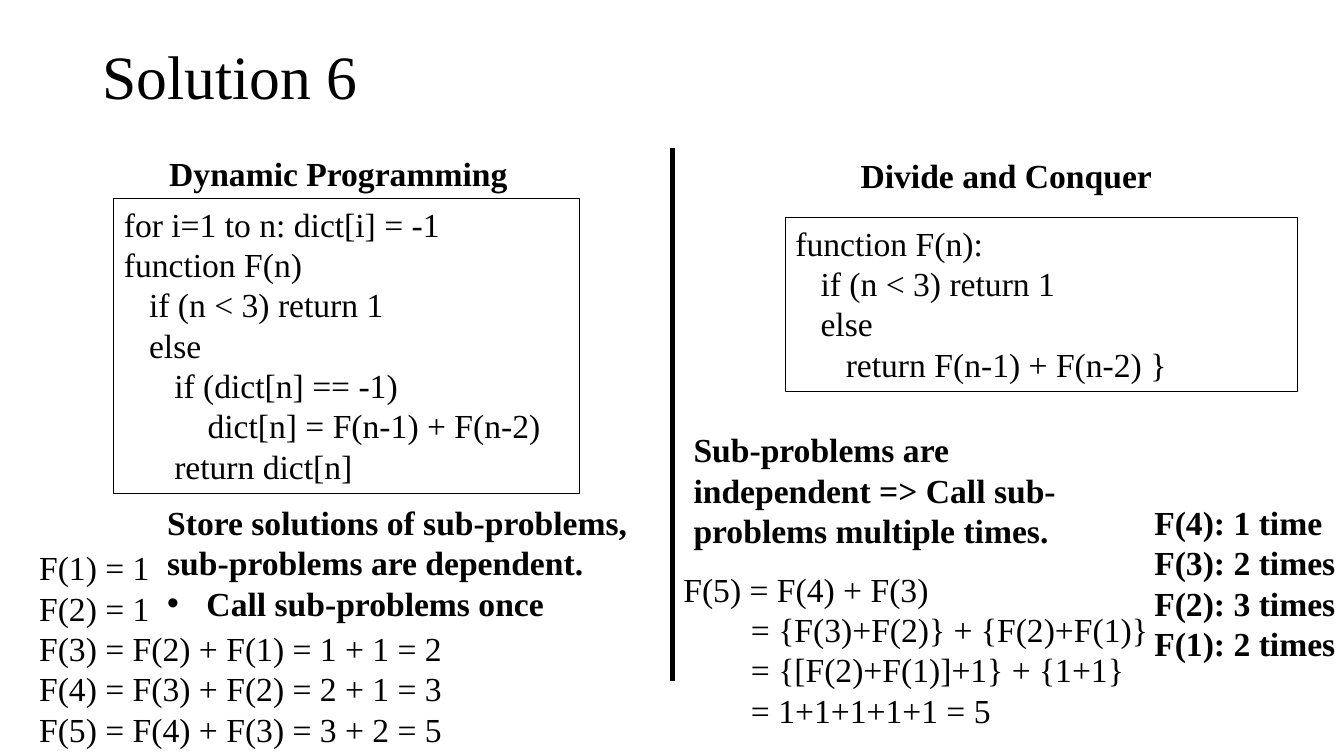
from dataclasses import dataclass

from lxml.etree import SubElement
from pptx import Presentation
from pptx.dml.color import RGBColor
from pptx.enum.shapes import MSO_CONNECTOR, MSO_SHAPE
from pptx.enum.text import MSO_ANCHOR, PP_ALIGN
from pptx.oxml.ns import qn
from pptx.util import Inches, Pt


@dataclass(frozen=True)
class Theme:
    font: str = "Times New Roman"
    ink: RGBColor = RGBColor(0, 0, 0)
    paper: RGBColor = RGBColor(255, 255, 255)
    title: int = 44
    body: int = 24
    frame: float = 0.75
    divider: float = 3


THEME = Theme()


@dataclass(frozen=True)
class Line:
    text: str
    indent: float = 0
    bullet: bool = False


@dataclass(frozen=True)
class Block:
    box: tuple[float, float, float, float]
    lines: list[Line]
    size: int = THEME.body
    bold: bool = False
    framed: bool = False
    wrap: bool = True
    align: PP_ALIGN = PP_ALIGN.LEFT
    anchor: MSO_ANCHOR = MSO_ANCHOR.TOP


def heading(text: str, *box: float) -> Block:
    return Block(box, [Line(text)], bold=True, wrap=False, align=PP_ALIGN.CENTER)


BLOCKS = [
    Block((0.92, 0.02, 11.5, 1.45), [Line("Solution 6")],
          size=THEME.title, anchor=MSO_ANCHOR.MIDDLE),
    # Column headings
    heading("Dynamic Programming", 1.56, 1.47, 3.59, 0.5),
    heading("Divide and Conquer", 8.42, 1.49, 3.12, 0.5),
    # Code
    Block((7.79, 2.16, 5.08, 1.72), [
        Line("function F(n):"),
        Line("if (n < 3) return 1", 0.25),
        Line("else", 0.25),
        Line("return F(n-1) + F(n-2) }", 0.5),
    ], framed=True),
    Block((1.13, 1.97, 4.62, 2.93), [
        Line("for i=1 to n: dict[i] = -1"),
        Line("function F(n)"),
        Line("if (n < 3) return 1", 0.25),
        Line("else", 0.25),
        Line("if (dict[n] == -1)", 0.5),
        Line("dict[n] = F(n-1) + F(n-2)", 0.83),
        Line("return dict[n]", 0.5),
    ], framed=True),
    # Worked examples
    Block((6.68, 5.59, 6.67, 1.72), [
        Line("F(5) = F(4) + F(3)"),
        Line("= {F(3)+F(2)} + {F(2)+F(1)}", 0.67),
        Line("= {[F(2)+F(1)]+1} + {1+1}", 0.67),
        Line("= 1+1+1+1+1 = 5", 0.67),
    ]),
    Block((0.29, 5.38, 6.67, 2.12), [
        Line("F(1) = 1"),
        Line("F(2) = 1"),
        Line("F(3) = F(2) + F(1) = 1 + 1 = 2"),
        Line("F(4) = F(3) + F(2) = 2 + 1 = 3"),
        Line("F(5) = F(4) + F(3) = 3 + 2 = 5"),
    ]),
    # Conclusions
    Block((1.56, 4.93, 5.17, 1.31), [
        Line("Store solutions of sub-problems, sub-problems are dependent."),
        Line("Call sub-problems once", 0.39, bullet=True),
    ], bold=True),
    Block((6.78, 4.21, 4.11, 1.31), [
        Line("Sub-problems are independent => Call sub-problems multiple times."),
    ], bold=True),
    Block((11.35, 4.93, 2.23, 1.72), [
        Line("F(4): 1 time"),
        Line("F(3): 2 times"),
        Line("F(2): 3 times"),
        Line("F(1): 2 times"),
    ], bold=True),
]


def add_block(s, block: Block) -> None:
    box = [Inches(v) for v in block.box]
    if block.framed:
        sp = s.shapes.add_shape(MSO_SHAPE.RECTANGLE, *box)
        sp.shadow.inherit = False
        sp.fill.background()
        sp.line.color.rgb = THEME.ink
        sp.line.width = Pt(THEME.frame)
    else:
        sp = s.shapes.add_textbox(*box)
    tf = sp.text_frame
    tf.word_wrap = block.wrap
    tf.vertical_anchor = block.anchor
    for i, line in enumerate(block.lines):
        p = tf.paragraphs[0] if i == 0 else tf.add_paragraph()
        p.alignment = block.align
        if line.indent:
            pPr = p._p.get_or_add_pPr()
            pPr.set("marL", str(Inches(line.indent)))
            if line.bullet:
                pPr.set("indent", str(-Inches(line.indent)))
                SubElement(pPr, qn("a:buFont"), typeface="Arial")
                SubElement(pPr, qn("a:buChar"), char="•")
        r = p.add_run()
        r.text = line.text
        r.font.name = THEME.font
        r.font.size = Pt(block.size)
        r.font.bold = block.bold
        r.font.color.rgb = THEME.ink


def add_divider(s, x: float, top: float, bottom: float) -> None:
    cn = s.shapes.add_connector(MSO_CONNECTOR.STRAIGHT, Inches(x), Inches(top),
                                Inches(x), Inches(bottom))
    cn.line.color.rgb = THEME.ink
    cn.line.width = Pt(THEME.divider)
    SubElement(cn._element.spPr, qn("a:effectLst"))


def main() -> None:
    prs = Presentation()
    prs.slide_width, prs.slide_height = Inches(13.33), Inches(7.5)
    s = prs.slides.add_slide(prs.slide_layouts[6])
    s.background.fill.solid()
    s.background.fill.fore_color.rgb = THEME.paper
    add_divider(s, 6.67, 1.47, 6.76)
    for block in BLOCKS:
        add_block(s, block)
    prs.save("out.pptx")


if __name__ == "__main__":
    main()
